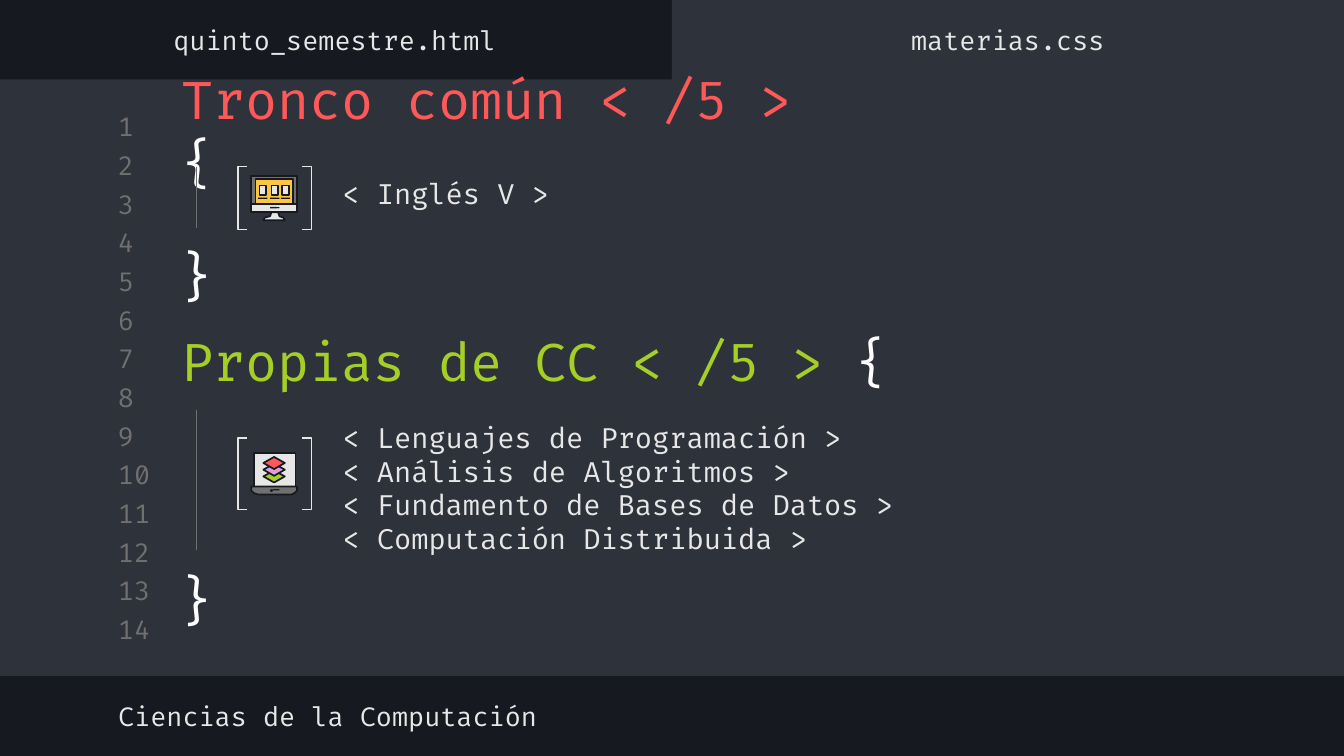
from lxml.etree import SubElement
from pptx import Presentation
from pptx.dml.color import RGBColor
from pptx.enum.shapes import MSO_CONNECTOR, MSO_SHAPE
from pptx.enum.text import MSO_ANCHOR, PP_ALIGN
from pptx.oxml.ns import qn
from pptx.util import Inches, Pt

THEME = {
    "font": "Fira Code",
    "dark": "16191F", "panel": "2E323B", "gray": "707070",
    "light": "E7E7E7", "white": "FFFFFF", "red": "FF5858",
    "green": "A5CF27", "yellow": "FCC642", "pink": "DBA0DB",
    "small": 14, "item": 15, "heading": 28, "thin": 0.75, "ink": 0.9,
}

deck = Presentation()
deck.slide_width = Inches(10)
deck.slide_height = deck.slide_width * 9 // 16
slide = deck.slides.add_slide(deck.slide_layouts[6])
shapes = slide.shapes
slide.background.fill.solid()
slide.background.fill.fore_color.rgb = RGBColor.from_string(THEME["dark"])


def add_text(paragraphs, box, size="small", color="light",
             align=PP_ALIGN.LEFT, anchor=MSO_ANCHOR.MIDDLE):
    """Add a text box; each paragraph is a string or a list of (text, color)."""
    frame = shapes.add_textbox(*map(Inches, box)).text_frame
    frame.word_wrap = True
    frame.vertical_anchor = anchor
    frame.margin_left = frame.margin_right = Inches(0.1)
    frame.margin_top = frame.margin_bottom = Inches(0.1)
    for index, content in enumerate(paragraphs):
        paragraph = frame.add_paragraph() if index else frame.paragraphs[0]
        paragraph.alignment = align
        for words, tint in [(content, color)] if isinstance(content, str) else content:
            run = paragraph.add_run()
            run.text = words
            run.font.name = THEME["font"]
            run.font.size = Pt(THEME[size])
            run.font.color.rgb = RGBColor.from_string(THEME[tint])


def add_figure(outline, place, fill=None, line=None, width="ink"):
    """Add a preset at a box, or a polygon through points when outline is None."""
    if outline is None:
        corners = [(Inches(x), Inches(y)) for x, y in place]
        builder = shapes.build_freeform(*corners[0])
        builder.add_line_segments(corners[1:], close=True)
        figure = builder.convert_to_shape()
    else:
        figure = shapes.add_shape(outline, *map(Inches, place))
    figure.shadow.inherit = False
    if fill:
        figure.fill.solid()
        figure.fill.fore_color.rgb = RGBColor.from_string(THEME[fill])
    else:
        figure.fill.background()
    if line:
        figure.line.color.rgb = RGBColor.from_string(THEME[line])
        figure.line.width = Pt(THEME[width])
    else:
        figure.line.fill.background()


# Editor window: code area, active tab and line numbers
for area in [(0, 0.59, 10, 4.44), (5, 0, 5, 0.65)]:
    add_figure(MSO_SHAPE.RECTANGLE, area, "panel")
for number in range(14):
    add_text([str(number + 1)], (0.78, 0.82 + number * 3.74 / 13, 0.47, 0.24), color="gray")

# Subjects
add_text(["< Inglés V >"], (2.45, 1.26, 6.03, 0.35), size="item")
add_text(["< Lenguajes de Programación >", "< Análisis de Algoritmos >",
          "< Fundamento de Bases de Datos >", "< Computación Distribuida >"],
         (2.45, 2.97, 5.62, 1.32), size="item")
add_text([[("Propias de CC < /5 > ", "green"), ("{", "white")]],
         (1.25, 2.39, 5.8, 0.58), size="heading")
add_text([[("Tronco común < /5 > ", "red"), ("{", "white")]],
         (1.25, 0.68, 5.12, 0.58), size="heading")

# Monitor icon
add_figure(MSO_SHAPE.RECTANGLE, (1.87, 1.31, 0.34, 0.21), "gray", "dark")
add_figure(MSO_SHAPE.RECTANGLE, (1.9, 1.33, 0.28, 0.19), "yellow", "dark")
add_figure(None, [(2.02, 1.58), (2.07, 1.58), (2.08, 1.61), (2.11, 1.62), (2.12, 1.64),
                  (1.96, 1.64), (1.97, 1.62), (2.01, 1.61)], "light", "dark")
add_figure(MSO_SHAPE.RECTANGLE, (1.87, 1.52, 0.34, 0.06), "light", "dark")
for window in (1.93, 2.02, 2.1):
    add_figure(MSO_SHAPE.RECTANGLE, (window, 1.38, 0.05, 0.07), "light", "dark")
    add_figure(MSO_SHAPE.RECTANGLE, (window - 0.01, 1.47, 0.07, 0.01), "dark")
add_figure(MSO_SHAPE.RECTANGLE, (2.01, 1.54, 0.05, 0.01), "dark")
add_figure(MSO_SHAPE.OVAL, (2.06, 1.54, 0.02, 0.01), "dark")

# Laptop icon
add_figure(MSO_SHAPE.RECTANGLE, (1.89, 3.37, 0.31, 0.25), "light", "dark")
for top, layer in [(3.5, "green"), (3.45, "pink"), (3.4, "red")]:
    add_figure(MSO_SHAPE.DIAMOND, (1.96, top, 0.16, 0.09), layer, "dark")
add_figure(None, [(1.87, 3.62), (2.21, 3.62), (2.21, 3.65), (2.19, 3.67), (2.17, 3.68),
                  (1.92, 3.68), (1.89, 3.67), (1.87, 3.65)], "gray", "dark")
add_figure(MSO_SHAPE.OVAL, (2.01, 3.64, 0.02, 0.02), "dark")
add_figure(MSO_SHAPE.RECTANGLE, (2.03, 3.64, 0.05, 0.01), "dark")

# File names and footer
add_text(["Ciencias de la Computación"], (0.78, 5.13, 5.32, 0.39))
for left, file_name in [(-0.01, "quinto_semestre.html"), (5, "materias.css")]:
    add_text([file_name], (left, 0.1, 5, 0.39), align=PP_ALIGN.CENTER)

# Icon brackets, then the guide and closing brace of each block
for top, height in [(1.24, 0.47), (3.26, 0.53)]:
    for left, bracket in [(1.77, MSO_SHAPE.LEFT_BRACKET), (2.25, MSO_SHAPE.RIGHT_BRACKET)]:
        add_figure(bracket, (left, top, 0.07, height), line="light", width="thin")
        shapes[-1].adjustments[0] = 0
for start, end, brace_top in [(3.05, 4.09, 4.12), (1.24, 1.7, 1.71)]:
    guide = shapes.add_connector(MSO_CONNECTOR.STRAIGHT, Inches(1.46), Inches(start),
                                 Inches(1.46), Inches(end))
    guide.line.color.rgb = RGBColor.from_string(THEME["gray"])
    guide.line.width = Pt(THEME["thin"])
    SubElement(guide._element.spPr, qn("a:effectLst"))
    add_text(["}"], (1.19, brace_top, 0.55, 0.67), size="heading", color="white",
             align=PP_ALIGN.CENTER, anchor=MSO_ANCHOR.TOP)

deck.save("out.pptx")
